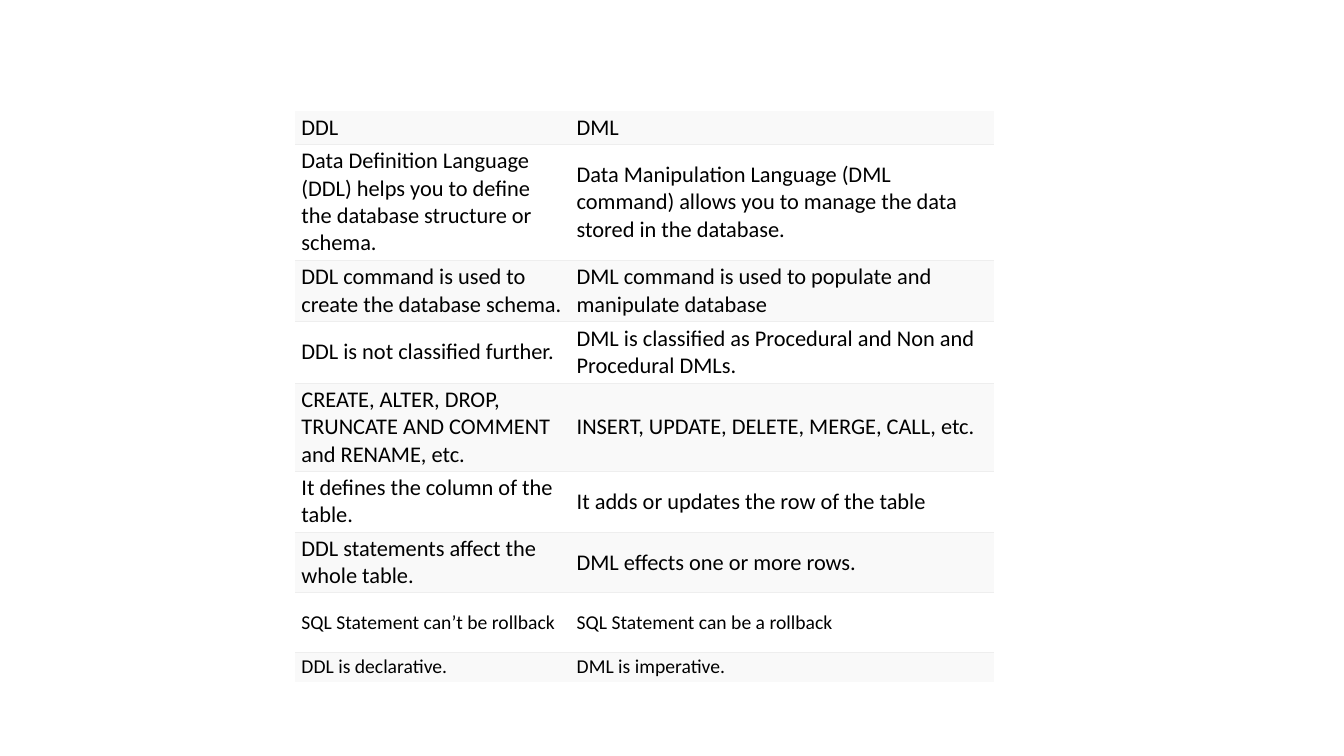
import pptx
import pptx.dml.color
import pptx.enum.text
import pptx.oxml
import pptx.oxml.ns
import pptx.util
from pptx.util import Inches

ROWS = [
    (0.24, 16, "DDL", "DML"),
    (0.98, 16, "Data Definition Language (DDL) helps you to define the database structure or schema.",
     "Data Manipulation Language (DML command) allows you to manage the data stored in the database."),
    (0.61, 16, "DDL command is used to create the database schema.",
     "DML command is used to populate and manipulate database"),
    (0.61, 16, "DDL is not classified further.",
     "DML is classified as Procedural and Non and Procedural DMLs."),
    (0.79, 16, "CREATE, ALTER, DROP, TRUNCATE AND COMMENT and RENAME, etc.",
     "INSERT, UPDATE, DELETE, MERGE, CALL, etc."),
    (0.43, 16, "It defines the column of the table.", "It adds or updates the row of the table"),
    (0.43, 16, "DDL statements affect the whole table.", "DML effects one or more rows."),
    (0.59, 14, "SQL Statement can’t be rollback", "SQL Statement can be a rollback"),
    (0.24, 14, "DDL is declarative.", "DML is imperative."),
]
COLUMN_WIDTHS = [2.73, 4.2]
BAND_FILLS = ["F9F9F9", "FFFFFF"]
BORDER_COLOR = "EEEEEE"
CELL_FORMAT = {
    "vertical_anchor": pptx.enum.text.MSO_ANCHOR.MIDDLE,
    "margin_left": Inches(0.06),
    "margin_right": Inches(0.06),
    "margin_top": Inches(0.03),
    "margin_bottom": Inches(0.03),
}


def color(value):
    return pptx.dml.color.RGBColor.from_string(value)


def set_attributes(target, values):
    for name, value in values.items():
        setattr(target, name, value)


def set_borders(cell, visible_sides):
    properties = cell._tc.get_or_add_tcPr()
    namespace = pptx.oxml.ns.nsdecls("a")
    for position, side in enumerate("LRTB"):
        paint = "<a:noFill/>"
        if side in visible_sides:
            paint = f'<a:solidFill><a:srgbClr val="{BORDER_COLOR}"/></a:solidFill>'
        line = f'<a:ln{side} {namespace} w="{pptx.util.Pt(0.5)}">{paint}</a:ln{side}>'
        properties.insert(position, pptx.oxml.parse_xml(line))


def format_cell(cell, text, size, fill, visible_sides):
    set_attributes(cell, CELL_FORMAT)
    cell.fill.solid()
    cell.fill.fore_color.rgb = color(fill)
    set_borders(cell, visible_sides)
    run = cell.text_frame.paragraphs[0].add_run()
    run.text = text
    set_attributes(run.font, {"name": "Calibri", "size": pptx.util.Pt(size), "bold": False})
    run.font.color.rgb = color("000000")


def add_comparison_table(slide):
    height = Inches(5.61)
    frame = slide.shapes.add_table(len(ROWS), len(COLUMN_WIDTHS), Inches(2.93), Inches(1.1),
                                   Inches(sum(COLUMN_WIDTHS)), height)
    table = frame.table
    set_attributes(table, {"first_row": False, "horz_banding": False})
    for column, width in zip(table.columns, COLUMN_WIDTHS):
        column.width = Inches(width)
    for index, (row_height, size, *texts) in enumerate(ROWS):
        table.rows[index].height = Inches(row_height)
        visible_sides = {0: "B", len(ROWS) - 1: "T"}.get(index, "TB")
        for cell, text in zip(table.rows[index].cells, texts):
            format_cell(cell, text, size, BAND_FILLS[index % 2], visible_sides)
    frame.height = height


def main():
    presentation = pptx.Presentation()
    set_attributes(presentation, {"slide_width": Inches(13.33), "slide_height": Inches(7.5)})
    slide = presentation.slides.add_slide(presentation.slide_layouts[6])
    add_comparison_table(slide)
    presentation.save("out.pptx")


if __name__ == "__main__":
    main()
